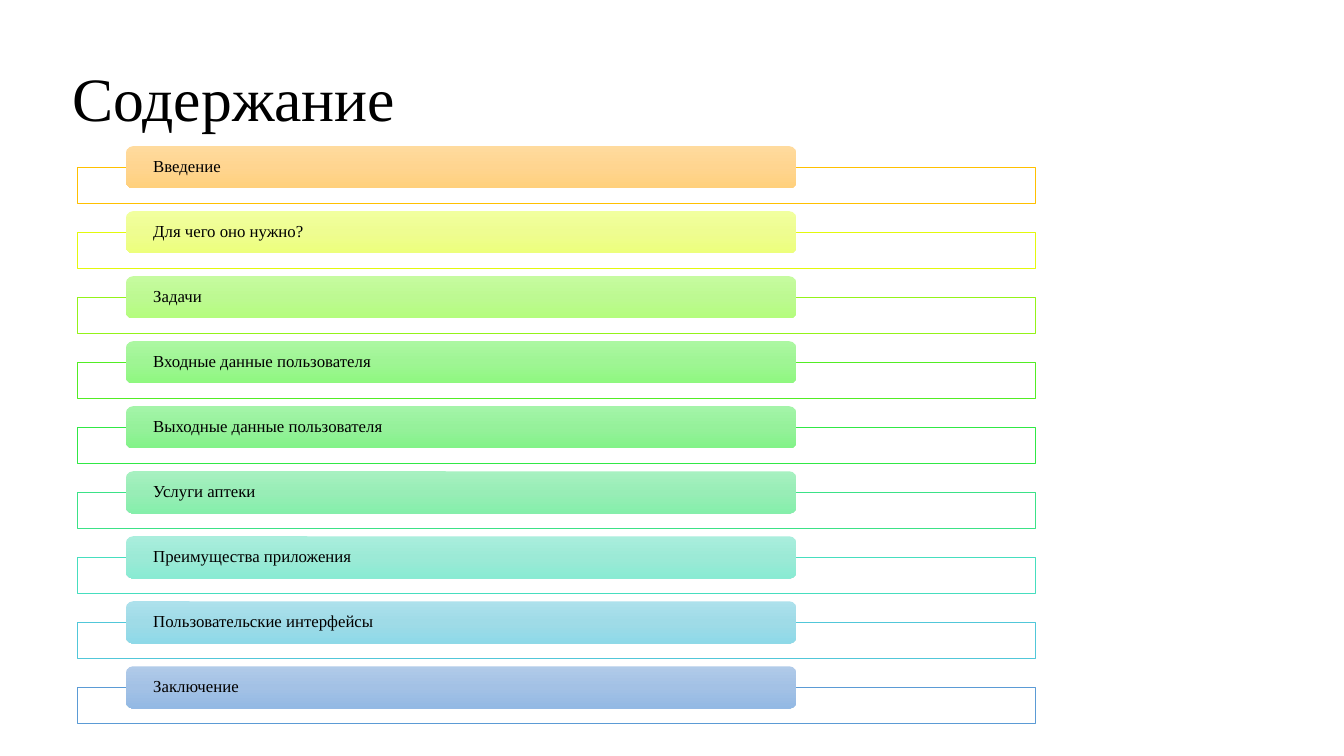
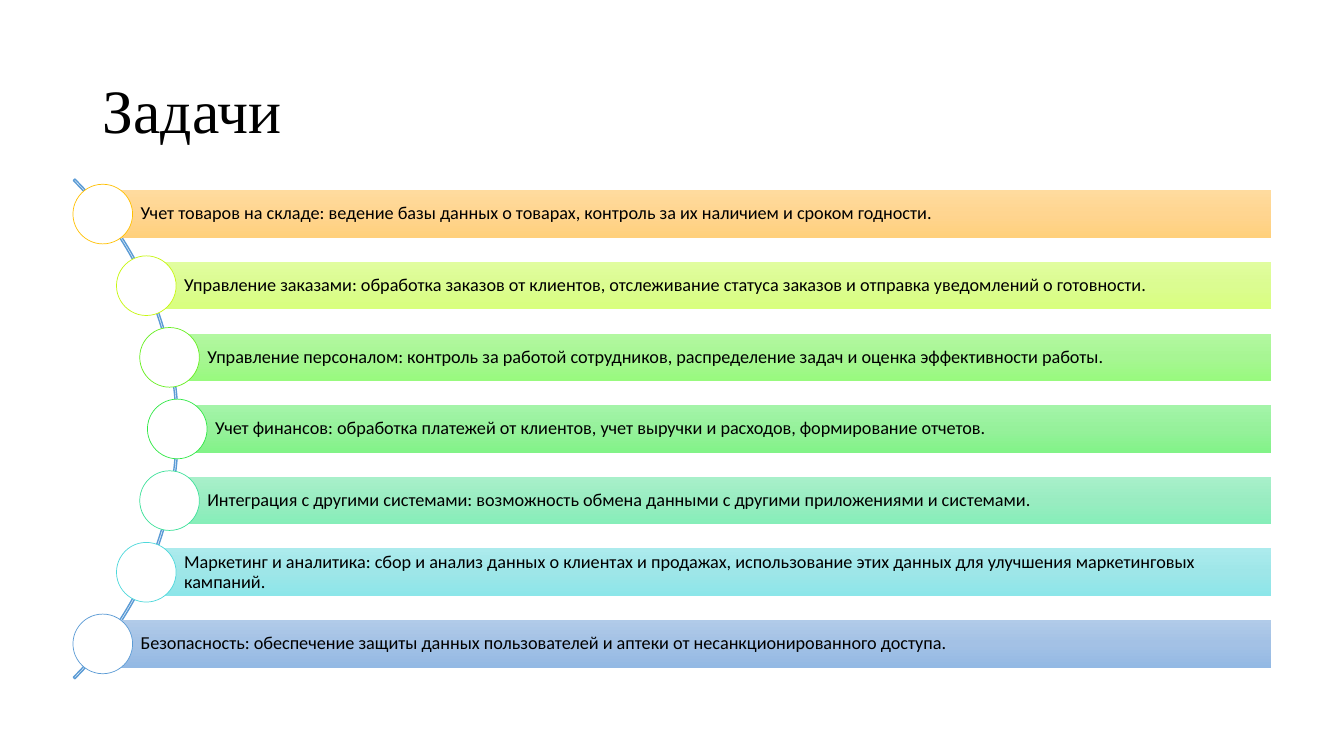
from copy import deepcopy

from lxml.etree import SubElement
from pptx import Presentation
from pptx.dml.color import RGBColor
from pptx.enum.shapes import MSO_SHAPE
from pptx.enum.text import MSO_ANCHOR, PP_ALIGN
from pptx.oxml.ns import qn
from pptx.util import Pt

INK = {"black": "000000", "white": "FFFFFF", "arc": "5B9BD5"}

# Each hue: outline, then the top, middle and bottom of its gradient.
HUES = {
    "amber": "FFC000 FFDB9E FFD590 FFD07C",
    "yellow": "E3F90C F1FF9F EEFD91 EDFF7C",
    "lemon": "C7F711 E1FD9F DBFC91 D9FF7D",
    "lime": "94F319 C6FBA0 BDF992 B4FD7D",
    "grass": "67EF21 B3F8A1 A7F693 98FA7E",
    "leaf": "52ED24 ACF7A2 9FF594 8EF87F",
    "green": "30E845 A4F4A9 96F19B 82F388",
    "jade": "3BE287 A7F1C1 98EDB6 85EFAB",
    "mint": "3FE19B A8F0CA 99ECC1 86EEB9",
    "teal": "46DEBF AAEEDD 9CEAD6 89EBD3",
    "aqua": "4DD8DB ACEBED 9EE6E8 8CE6E9",
    "sky": "51C7D9 ADE1EC 9FDBE7 8ED9E8",
    "blue": "5B9BD5 B1CBE9 A3C1E5 93B9E4",
}

TOPICS = [
    ("amber", "Введение"),
    ("yellow", "Для чего оно нужно?"),
    ("lime", "Задачи"),
    ("leaf", "Входные данные\u00a0пользователя"),
    ("green", "Выходные данные пользователя"),
    ("jade", "Услуги аптеки"),
    ("teal", "Преимущества приложения"),
    ("sky", "Пользовательские интерфейсы"),
    ("blue", "Заключение"),
]

TASKS = [
    ("amber", "Учет товаров на складе: ведение базы данных о товарах, "
              "контроль за их наличием и сроком годности."),
    ("lemon", "Управление заказами: обработка заказов от клиентов, "
              "отслеживание статуса заказов и отправка уведомлений о готовности."),
    ("grass", "Управление персоналом: контроль за работой сотрудников, "
              "распределение задач и оценка эффективности работы."),
    ("green", "Учет финансов: обработка платежей от клиентов, "
              "учет выручки и расходов, формирование отчетов."),
    ("mint", "Интеграция с другими системами: возможность обмена данными "
             "с другими приложениями и системами."),
    ("aqua", "Маркетинг и аналитика: сбор и анализ данных о клиентах и продажах, "
             "использование этих данных для улучшения маркетинговых кампаний."),
    ("blue", "Безопасность: обеспечение защиты данных пользователей и аптеки "
             "от несанкционированного доступа."),
]


class Deck:
    """Holds the shared style and the current slide."""

    serif, sans = "Times New Roman", "Calibri"

    def __init__(self):
        """Start a wide, empty deck."""
        self.show = Presentation()
        self.show.slide_width, self.show.slide_height = Pt(960), Pt(540)
        self.slide = None

    def page(self, title, left, top):
        """Add a slide with its title at the given corner."""
        self.slide = self.show.slides.add_slide(self.show.slide_layouts[5])
        head = self.slide.shapes.title
        head.left, head.top = Pt(left), Pt(top)
        head.width, head.height = Pt(828), Pt(104.4)
        self.label(head, title, 44, self.serif)

    def label(self, shape, text, size, font):
        """Put one left-aligned paragraph in a shape."""
        frame = shape.text_frame
        frame.word_wrap = True
        frame.vertical_anchor = MSO_ANCHOR.MIDDLE
        frame.text = text
        para = frame.paragraphs[0]
        para.alignment, para.line_spacing = PP_ALIGN.LEFT, 0.9
        para.font.size, para.font.name = Pt(size), font
        para.font.color.rgb = RGBColor.from_string(INK["black"])

    def shape(self, kind, box, line=None, width=0.5, fill=None):
        """Add a flat shape with optional outline and fill."""
        item = self.slide.shapes.add_shape(kind, *map(Pt, box))
        item.shadow.inherit = False
        if line:
            item.line.color.rgb = RGBColor.from_string(line)
            item.line.width = Pt(width)
        else:
            item.line.fill.background()
        if fill:
            item.fill.solid()
            item.fill.fore_color.rgb = RGBColor.from_string(fill)
        else:
            item.fill.background()
        return item

    def frame(self, box, line):
        """Add an outlined box, white at 90 % opacity."""
        item = self.shape(MSO_SHAPE.RECTANGLE, box, line, fill=INK["white"])
        tone = item.element.spPr.find(qn("a:solidFill"))[0]
        SubElement(tone, qn("a:alpha")).set("val", "90000")

    def bar(self, kind, box, tones, text, size, font, pads):
        """Add a bar with a three-tone vertical gradient and a text."""
        item = self.shape(kind, box)
        item.fill.gradient()
        item.fill.gradient_angle = 270
        stops = item.element.spPr.find(".//" + qn("a:gsLst"))
        stops.insert(1, deepcopy(stops[0]))
        for i, stop in enumerate(item.fill.gradient_stops):
            stop.color.rgb = RGBColor.from_string(tones[i])
            stop.position = i / 2
        self.label(item, text, size, font)
        frame = item.text_frame
        frame.margin_left, frame.margin_top = Pt(pads[0]), Pt(pads[1])
        frame.margin_right, frame.margin_bottom = Pt(pads[2]), Pt(pads[1])

    def arc(self, box):
        """Add the thin arc that joins the dots."""
        item = self.shape(MSO_SHAPE.BLOCK_ARC, box, INK["arc"], 1)
        for i, turn in enumerate((189, 27, 0.003)):
            item.adjustments[i] = turn

    def dot(self, x, y, size, line):
        """Add a white circle centred on a point."""
        box = (x - size / 2, y - size / 2, size, size)
        self.shape(MSO_SHAPE.OVAL, box, line, fill=INK["white"])


def topics(deck):
    """Build the contents slide."""
    deck.page("Содержание", 44.64, 20.16)
    for i, (hue, text) in enumerate(TOPICS):
        line, *tones = HUES[hue].split()
        top = 104.4 + 46.44 * i
        deck.frame((55.3, top + 15.1, 684, 25.9), line)
        deck.bar(MSO_SHAPE.ROUNDED_RECTANGLE, (90, top, 478.8, 30.2), tones,
                 text, 12, deck.serif, (18, 0, 18))


def tasks(deck):
    """Build the slide of tasks along an arc."""
    deck.page("Задачи", 66.24, 28.8)
    deck.arc((-377.3, 54, 504.7, 504.7))
    right, high = 908.2, 34
    lefts = (126.6, 121.1, 104.5, 73.4)
    for i, (hue, text) in enumerate(TASKS):
        line, *tones = HUES[hue].split()
        left, top = lefts[abs(i - 3)], 135.9 + 51.17 * i
        deck.bar(MSO_SHAPE.RECTANGLE, (left, top, right - left, high), tones,
                 text, 13, deck.sans, (27, 2.6, 2.6))
        deck.dot(left, top + high / 2, 42.6, line)


deck = Deck()
topics(deck)
tasks(deck)
deck.show.save("out.pptx")
